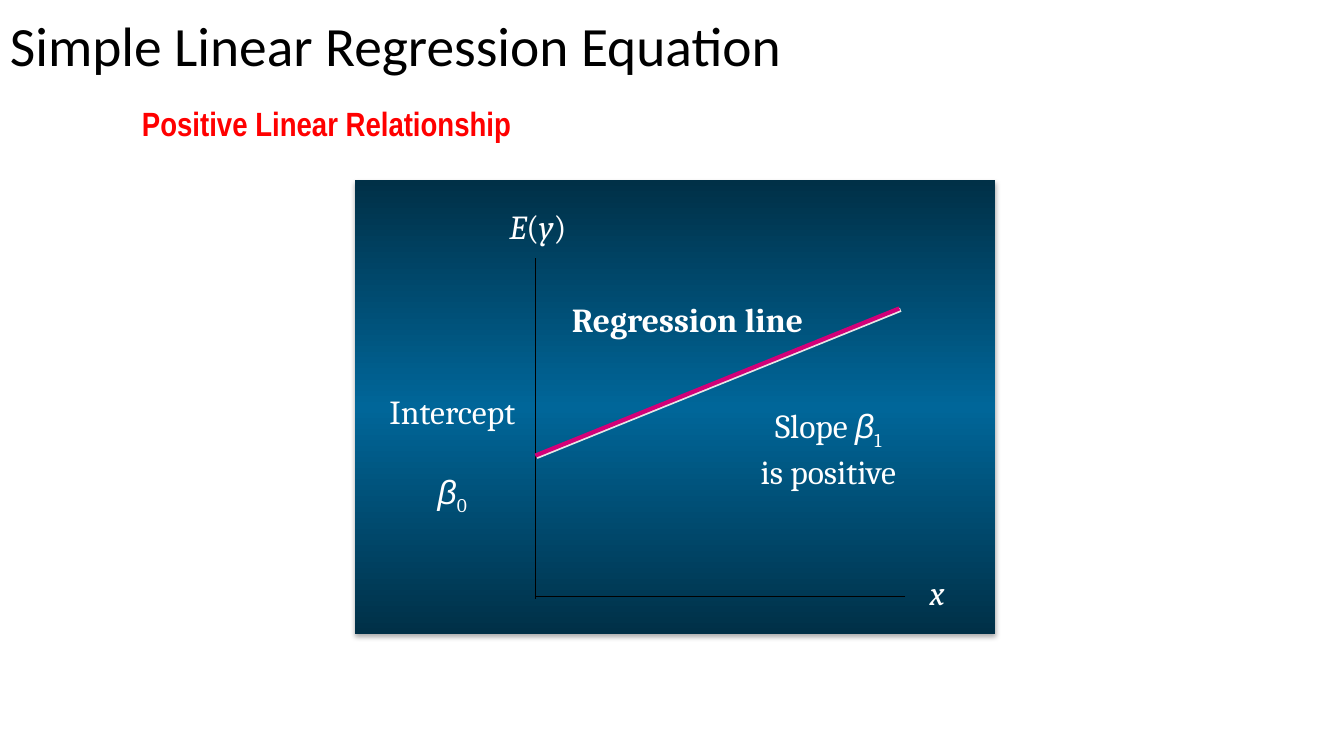
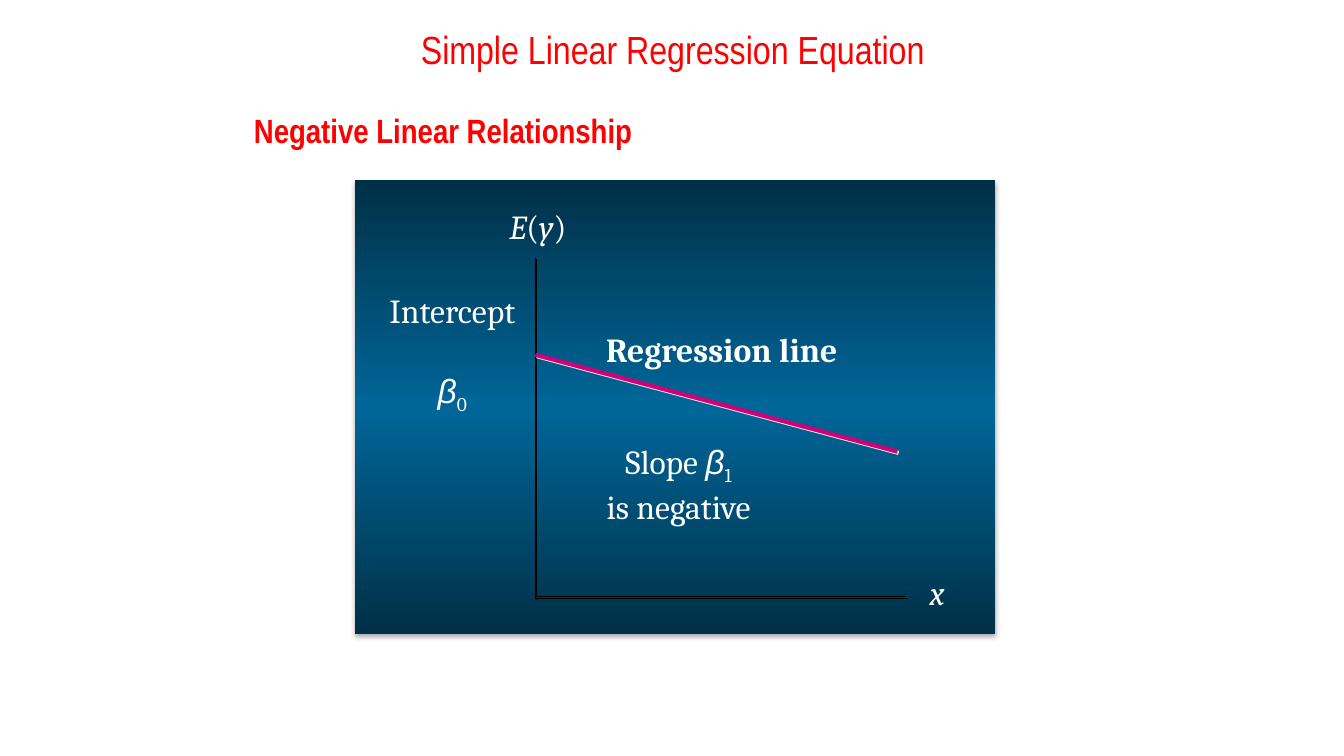
import copy
import lxml.etree
import pptx
import pptx.util
import pptx.dml.color
import pptx.enum.shapes
import pptx.enum.text
import pptx.oxml.ns

Inches = pptx.util.Inches
Pt = pptx.util.Pt
RGBColor = pptx.dml.color.RGBColor
Align = pptx.enum.text.PP_ALIGN
Anchor = pptx.enum.text.MSO_ANCHOR
qn = pptx.oxml.ns.qn

BLACK = RGBColor(0, 0, 0)
WHITE = RGBColor(255, 255, 255)
RED = RGBColor(255, 0, 0)
PINK = RGBColor(0xD2, 0x00, 0x78)
GRAY = RGBColor(0xE7, 0xE6, 0xE6)
NAVY = RGBColor(0x00, 0x30, 0x47)
BLUE = RGBColor(0x00, 0x66, 0x99)

TITLE = "Simple Linear Regression Equation"
PANEL = (3.52, 1.79, 6.35, 4.5)
AXES = [(5.31, 2.56, 5.31, 5.94), (8.98, 5.92, 5.31, 5.92)]
NAMES = [
    ((4.94, 1.99, 0.79, 0.5), [[("E", "i"), ("(", ""), ("y", "i"), (")", "")]]),
    ((9.11, 5.62, 0.37, 0.5), [[("x", "i")]]),
]
SLIDES = [
    {
        "title": ((0, 0.04, 8.5, 0.89), 39.6, "Calibri", BLACK, Align.LEFT),
        "head": ((1.31, 0.97, 9.61, 0.6), "Positive Linear Relationship"),
        "shade": None,
        "trend": (5.31, 4.52, 8.92, 3.06),
        "slope": ((7.36, 3.97, 1.71, 0.91), "is positive"),
        "label": (5.54, 2.92, 2.56, 0.5),
        "start": (3.69, 3.83, 1.59, 0.91),
    },
    {
        "title": ((2.42, 0.04, 8.5, 0.89), 28, "Arial Narrow", RED, Align.CENTER),
        "head": ((2.42, 1.04, 5.46, 0.6), "Negative Linear Relationship"),
        "shade": BLACK,
        "trend": (5.31, 3.52, 8.9, 4.48),
        "slope": ((5.83, 4.32, 1.8, 0.91), "is negative"),
        "label": (5.88, 3.21, 2.56, 0.5),
        "start": (3.69, 2.83, 1.59, 0.91),
    },
]


def add_glow(shape, color, alpha=100, blur=0, dist=1.4, angle=45):
    node = shape._element.spPr
    for old in node.findall(qn("a:effectLst")):
        node.remove(old)
    effect = lxml.etree.SubElement(node, qn("a:effectLst"))
    if color is None:
        return
    outer = lxml.etree.SubElement(effect, qn("a:outerShdw"))
    outer.set("blurRad", str(int(Pt(blur))))
    outer.set("dist", str(int(Pt(dist))))
    outer.set("dir", str(angle * 60000))
    outer.set("algn", "ctr")
    outer.set("rotWithShape", "0")
    tint = lxml.etree.SubElement(outer, qn("a:srgbClr"), val=str(color))
    lxml.etree.SubElement(tint, qn("a:alpha"), val=str(alpha * 1000))


def add_line(slide, ends, color, width, shade):
    line = slide.shapes.add_connector(
        pptx.enum.shapes.MSO_CONNECTOR.STRAIGHT, *map(Inches, ends))
    line.line.color.rgb = color
    line.line.width = Pt(width)
    add_glow(line, shade)


def add_panel(slide):
    panel = slide.shapes.add_shape(
        pptx.enum.shapes.MSO_SHAPE.RECTANGLE, *map(Inches, PANEL))
    panel.line.fill.background()
    panel.fill.gradient()
    panel.fill.gradient_angle = 90
    stops = panel._element.spPr.find(".//" + qn("a:gsLst"))
    stops.append(copy.deepcopy(stops[-1]))
    for stop, place, color in zip(
            panel.fill.gradient_stops, (0, 0.5, 1), (NAVY, BLUE, NAVY)):
        stop.position = place
        stop.color.rgb = color
    add_glow(panel, BLACK, 32, 3.5, 2.2, 90)


def add_text(slide, box, text, size, face, color, align=Align.LEFT, bold=False):
    frame = slide.shapes.add_textbox(*map(Inches, box)).text_frame
    frame.word_wrap = True
    para = frame.paragraphs[0]
    para.text = text
    para.alignment = align
    font = para.font
    font.size, font.name, font.bold = Pt(size), face, bold
    font.color.rgb = color
    return frame


def add_label(slide, box, rows, bold=False, gap=0):
    frame = slide.shapes.add_textbox(*map(Inches, box)).text_frame
    frame.word_wrap = False
    for index, row in enumerate(rows):
        para = frame.add_paragraph() if index else frame.paragraphs[0]
        para.alignment = Align.CENTER
        para.space_before = Pt(gap if index else 0)
        para.font.size = Pt(24)
        para.font.bold = bold
        para.font.color.rgb = WHITE
        for text, style in row:
            run = para.add_run()
            run.text = text
            run.font.name = "Arial" if style == "beta" else "Cambria"
            run.font.italic = style in ("i", "beta")
            if style == "sub":
                run._r.get_or_add_rPr().set("baseline", "-25000")


def add_slide(deck, data):
    slide = deck.slides.add_slide(deck.slide_layouts[6])
    box, size, face, color, align = data["title"]
    title = add_text(slide, box, TITLE, size, face, color, align)
    title.vertical_anchor = Anchor.MIDDLE
    title.paragraphs[0].line_spacing = 0.9 if face == "Calibri" else 1.0
    add_text(slide, *data["head"], 24, "Arial Narrow", RED, bold=True)
    add_panel(slide)
    for ends in AXES:
        add_line(slide, ends, BLACK, 0.5, data["shade"])
    for box, rows in NAMES:
        add_label(slide, box, rows)
    add_line(slide, data["trend"], PINK, 3, GRAY)
    box, trait = data["slope"]
    add_label(slide, box, [
        [("Slope ", ""), ("β", "beta"), ("1", "sub")], [(trait, "")]])
    add_label(slide, data["label"], [[("Regression line", "")]], bold=True)
    add_label(slide, data["start"], [
        [("Intercept", "")], [("β", "beta"), ("0", "sub")]], gap=28)


def main():
    deck = pptx.Presentation()
    deck.slide_width = Inches(13.33)
    deck.slide_height = Inches(7.5)
    for data in SLIDES:
        add_slide(deck, data)
    deck.save("out.pptx")


if __name__ == "__main__":
    main()
